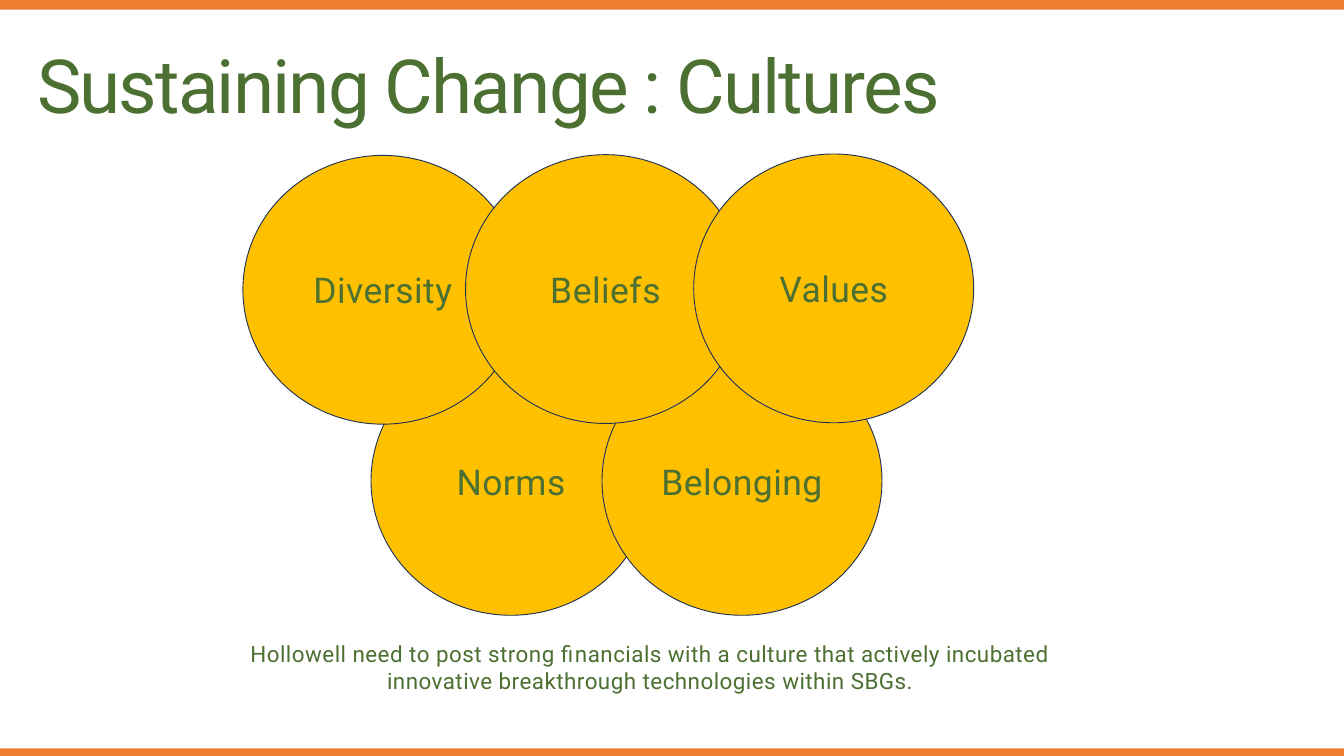
from dataclasses import dataclass

from pptx import Presentation
from pptx.dml.color import RGBColor
from pptx.enum.shapes import MSO_SHAPE
from pptx.enum.text import MSO_ANCHOR, MSO_AUTO_SIZE, PP_ALIGN
from pptx.util import Pt

SCALE = 9525


@dataclass(frozen=True)
class Theme:
    font: str = "Roboto"
    ink: str = "4C7031"
    bar: str = "ED7D31"
    disc: str = "FFC000"
    edge: str = "1E3256"
    title: int = 80
    label: int = 38
    note: int = 24


def px(*vals):
    return [val * SCALE for val in vals]


def rgb(code):
    return RGBColor.from_string(code)


def write(frame, text, font, size, color, track=0.5, align=PP_ALIGN.CENTER,
          anchor=MSO_ANCHOR.TOP, lead=None, inset=None):
    frame.word_wrap = True
    frame.auto_size = MSO_AUTO_SIZE.NONE
    frame.vertical_anchor = anchor
    if inset is not None:
        frame.margin_left = frame.margin_right = inset
        frame.margin_top = frame.margin_bottom = inset
    para = frame.paragraphs[0]
    para.alignment = align
    para.space_before = Pt(0)
    if lead:
        para.line_spacing = Pt(lead)
    run = para.add_run()
    run.text = text
    run.font.name = font
    run.font.size = Pt(size)
    run.font.color.rgb = rgb(color)
    run._r.get_or_add_rPr().set("spc", str(int(track * 100)))


class Deck:
    def __init__(self, theme, wide, high):
        self.theme = theme
        self.show = Presentation()
        self.show.slide_width, self.show.slide_height = px(wide, high)
        self.slide = self.show.slides.add_slide(self.show.slide_layouts[5])

    def shape(self, kind, box, fill):
        item = self.slide.shapes.add_shape(kind, *px(*box))
        item.shadow.inherit = False
        item.fill.solid()
        item.fill.fore_color.rgb = rgb(fill)
        return item

    def bar(self, *box):
        self.shape(MSO_SHAPE.RECTANGLE, box, self.theme.bar).line.fill.background()

    def disc(self, text, *box):
        look = self.theme
        item = self.shape(MSO_SHAPE.OVAL, box, look.disc)
        item.line.color.rgb = rgb(look.edge)
        item.line.width = Pt(1)
        write(item.text_frame, text, look.font, look.label, look.ink,
              anchor=MSO_ANCHOR.MIDDLE)

    def title(self, text, *box):
        look = self.theme
        item = self.slide.shapes.title
        item.left, item.top, item.width, item.height = px(*box)
        write(item.text_frame, text, look.font, look.title, look.ink,
              track=-2, align=PP_ALIGN.LEFT, lead=96, inset=0)

    def note(self, text, *box):
        look = self.theme
        item = self.slide.shapes.add_textbox(*px(*box))
        write(item.text_frame, text, look.font, look.note, look.ink)


def main():
    wide, high = 1920, 1080
    deck = Deck(Theme(), wide, high)
    deck.bar(0, 0, wide, 14)
    deck.bar(0, high - 11, wide, 11)
    deck.title("Sustaining Change : Cultures", 53, 56, 1764, 130)
    discs = [
        ("Norms", 530, 495),
        ("Belonging", 860, 495),
        ("Diversity", 347, 222),
        ("Beliefs", 665, 221),
        ("Values", 991, 220),
    ]
    for text, left, top in discs:
        deck.disc(text, left, top, 400, 384)
    deck.note("Hollowell need to post strong financials with a culture that "
              "actively incubated innovative breakthrough technologies within SBGs.",
              279, 910, 1300, 126)
    deck.show.save("out.pptx")


if __name__ == "__main__":
    main()
